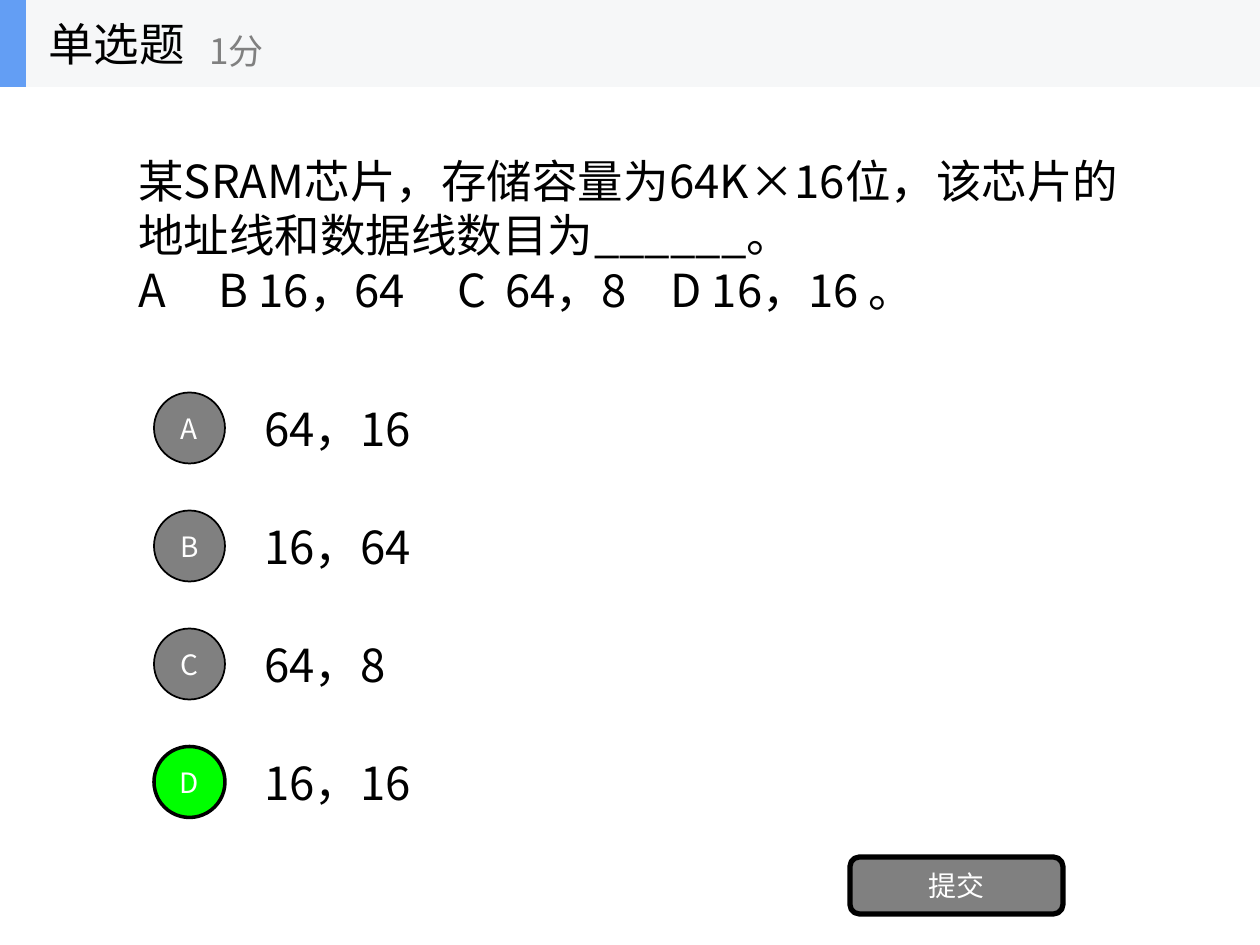
import pptx
import pptx.util
from lxml import etree
from pptx.dml.color import RGBColor
from pptx.enum.shapes import MSO_SHAPE
from pptx.enum.text import MSO_ANCHOR, PP_ALIGN
from pptx.oxml.ns import qn

PX_PER_INCH = 126
FONT = "Noto Sans CJK SC"
BLACK = RGBColor(0x00, 0x00, 0x00)
WHITE = RGBColor(0xFF, 0xFF, 0xFF)
GREY = RGBColor(0x80, 0x80, 0x80)
GREEN = RGBColor(0x00, 0xFF, 0x00)
BLUE = RGBColor(0x63, 0x9E, 0xF4)
PALE = RGBColor(0xF6, 0xF7, 0xF8)

QUESTION = [
    "某SRAM芯片，存储容量为64K×16位，该芯片的地址线和数据线数目为______。",
    "A\tB 16，64\tC\t64，8\tD 16，16 。",
]
QUESTION_TABS = [80, 319, 367, 532]
ANSWERS = {"A": "64，16", "B": "16，64", "C": "64，8", "D": "16，16"}
CORRECT = "D"


def px(length):
    return pptx.util.Emu(round(length * pptx.util.Inches(1) / PX_PER_INCH))


def write(shape, lines, size=26, color=BLACK, align=PP_ALIGN.LEFT, wrap=True,
          tabs=(), spacing=None):
    frame = shape.text_frame
    frame.word_wrap = wrap
    frame.vertical_anchor = MSO_ANCHOR.MIDDLE
    for number, line in enumerate(lines):
        para = frame.add_paragraph() if number else frame.paragraphs[0]
        para.alignment = align
        if spacing:
            para.line_spacing = spacing
        if tabs and "\t" in line:
            stops = etree.SubElement(para._p.get_or_add_pPr(), qn("a:tabLst"))
            for stop in tabs:
                etree.SubElement(stops, qn("a:tab"), pos=str(px(stop)), algn="l")
        span = para.add_run()
        span.text = line
        span.font.size = pptx.util.Pt(size)
        span.font.name = FONT
        span.font.color.rgb = color
        etree.SubElement(span._r.get_or_add_rPr(), qn("a:ea"), typeface=FONT)


def add_text(page, left, top, width, height, lines, **style):
    box = page.shapes.add_textbox(px(left), px(top), px(width), px(height))
    write(box, lines, **style)


def add_block(page, kind, left, top, width, height, fill, line_width=0):
    block = page.shapes.add_shape(kind, px(left), px(top), px(width), px(height))
    block.shadow.inherit = False
    block.fill.solid()
    block.fill.fore_color.rgb = fill
    if line_width:
        block.line.color.rgb = BLACK
        block.line.width = pptx.util.Pt(line_width)
    else:
        block.line.fill.background()
    return block


def add_header(page, left, top, width, height):
    add_block(page, MSO_SHAPE.RECTANGLE, left, top, width, height, PALE)
    add_block(page, MSO_SHAPE.RECTANGLE, left, top, 26, height, BLUE)
    add_text(page, left + 36, top, 262, height, ["单选题"], wrap=False)
    add_text(page, left + 197, top + 15, 315, height - 16, ["1分"],
             size=20, color=GREY, wrap=False)


def add_options(page, left, top, width, row_height, pitch):
    """Stack one lettered circle and its answer per row."""
    circle, text_left = 71, 98
    for row, (letter, answer) in enumerate(ANSWERS.items()):
        row_top = top + row * pitch
        correct = letter == CORRECT
        mark = add_block(page, MSO_SHAPE.OVAL, left,
                         row_top + (row_height - circle) / 2, circle, circle,
                         GREEN if correct else GREY, 2 if correct else 1)
        write(mark, [letter], size=16, color=WHITE, align=PP_ALIGN.CENTER)
        add_text(page, left + text_left, row_top, width - text_left, row_height,
                 [answer])


def add_submit_button(page, left, top, width, height):
    button = add_block(page, MSO_SHAPE.ROUNDED_RECTANGLE, left, top, width, height,
                       GREY, 3)
    write(button, ["提交"], size=16, color=WHITE, align=PP_ALIGN.CENTER)


def main():
    deck = pptx.Presentation()
    deck.slide_width, deck.slide_height = px(1260), px(945)
    page = deck.slides.add_slide(deck.slide_layouts[6])
    add_text(page, 126, 87, 1008, 295, QUESTION, tabs=QUESTION_TABS)
    add_options(page, 154, 384, 980, 88, 118)
    add_submit_button(page, 850, 857, 213, 57)
    add_header(page, 0, 0, 1260, 87)
    deck.save("out.pptx")


if __name__ == "__main__":
    main()
